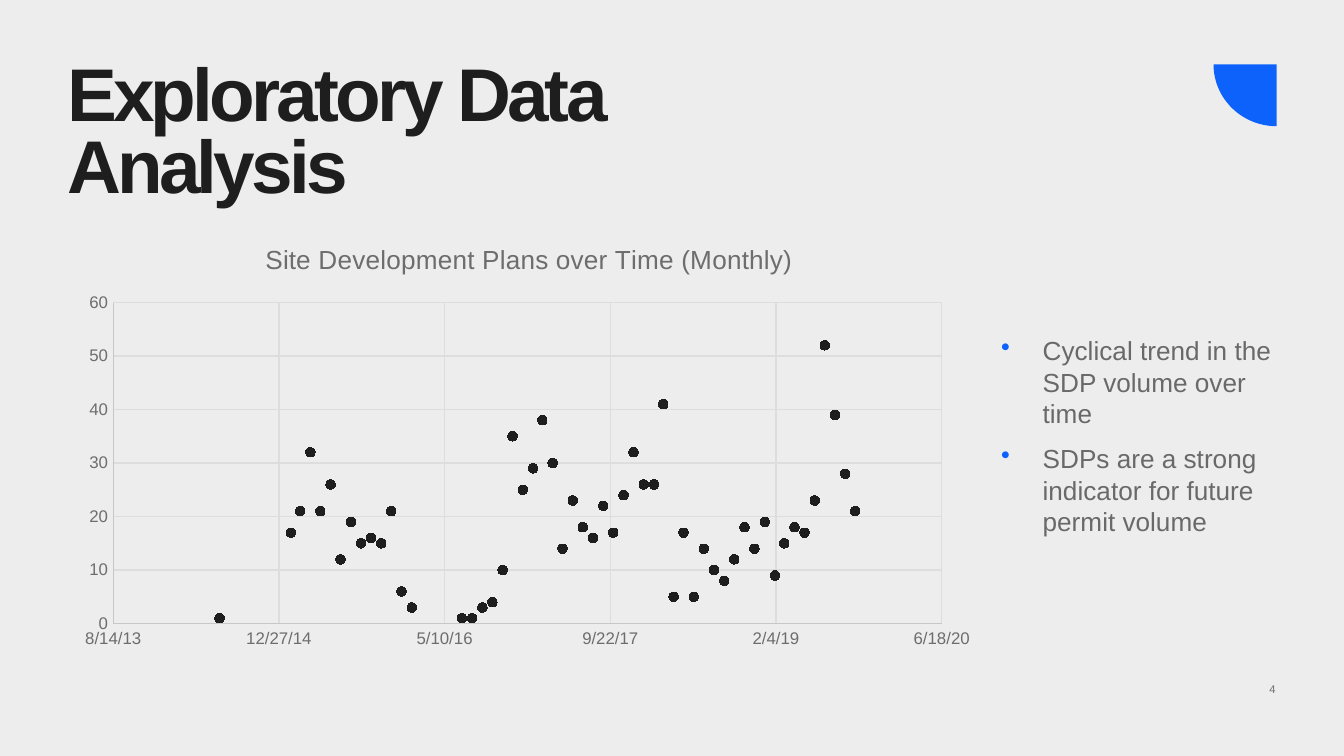
from math import cos, pi, sin
from lxml.etree import SubElement
from pptx import Presentation
from pptx.chart.data import XyChartData
from pptx.dml.color import RGBColor
from pptx.enum.chart import XL_CHART_TYPE, XL_MARKER_STYLE, XL_TICK_MARK
from pptx.enum.text import MSO_ANCHOR, PP_ALIGN
from pptx.oxml import parse_xml
from pptx.oxml.ns import nsdecls, qn
from pptx.util import Inches, Pt

INK, BLUE, GRAY = "1E1E1E", "0C62FB", "696969"


def color(value):
    return RGBColor.from_string(value)


def add_text(box, lines, size, fill, inset=0):
    frame = slide.shapes.add_textbox(*[Inches(length) for length in box]).text_frame
    frame.word_wrap = True
    frame.margin_left = frame.margin_right = Inches(inset)
    frame.margin_top = frame.margin_bottom = Inches(inset / 2)
    frame.text = "\n".join(lines)
    for paragraph in frame.paragraphs:
        paragraph.font.name = "Arial"
        paragraph.font.size = Pt(size)
        paragraph.font.color.rgb = color(fill)
    return frame


presentation = Presentation()
presentation.slide_width = Inches(10)
presentation.slide_height = presentation.slide_width * 9 // 16
slide = presentation.slides.add_slide(presentation.slide_layouts[6])
slide.background.fill.solid()
slide.background.fill.fore_color.rgb = color("EDEDED")

# Slide number
number = add_text((8.9, 4.99, 0.59, 0.19), ["4"], 6, "6E6E6E")
number.vertical_anchor = MSO_ANCHOR.BOTTOM
number.paragraphs[0].alignment = PP_ALIGN.RIGHT
number.paragraphs[0].line_spacing = 1.5

# Quarter disc in the corner, in EMU
right, top, width, height = [Inches(length) for length in (9.5, 0.48, 0.47, 0.46)]
steps = 32
arc = [(right - width * cos(pi / 2 * i / steps), top + height * sin(pi / 2 * i / steps))
       for i in range(steps + 1)]
builder = slide.shapes.build_freeform(right, top)
builder.add_line_segments(arc, close=True)
disc = builder.convert_to_shape()
disc.shadow.inherit = False
disc.fill.solid()
disc.fill.fore_color.rgb = color(BLUE)
disc.line.fill.background()

# Title
title = add_text((0.5, 0.48, 4, 0.97), ["Exploratory Data Analysis"], 40, INK).paragraphs[0]
title.font.bold = True
title.line_spacing = 0.8
title.runs[0].font._element.set("spc", "-200")

# Monthly counts, keyed by the first month of each run (months after March 2014)
monthly_runs = {
    4: [1],
    11: [17, 21, 32, 21, 26, 12, 19, 15, 16, 15, 21, 6, 3],
    28: [1, 1, 3, 4, 10, 35, 25, 29, 38, 30, 14, 23, 18, 16, 22, 17, 24, 32, 26, 26,
         41, 5, 17, 5, 14, 10, 8, 12, 18, 14, 19, 9, 15, 18, 17, 23, 52, 39, 28, 21],
}
chart_data = XyChartData()
plans = chart_data.add_series("Series 1")
for first_month, counts in monthly_runs.items():
    for offset, count in enumerate(counts):
        # Date serial of the first day of the month
        year, month = divmod(first_month + offset, 12)
        day = 41699 + 365 * year + (year + 2) // 4 + (153 * month + 2) // 5
        plans.add_data_point(day, count)

# Scatter chart
chart = slide.shapes.add_chart(XL_CHART_TYPE.XY_SCATTER, Inches(0.5), Inches(1.67),
                               Inches(6.85), Inches(3.23), chart_data).chart
chart.has_legend = False
chart.font.name = "Arial"
chart.font.size = Pt(10)
chart.font.color.rgb = color(INK)
chart.has_title = True
chart.chart_title.text_frame.text = "Site Development Plans over Time (Monthly)"
heading = chart.chart_title.text_frame.paragraphs[0].font
heading.name, heading.size, heading.bold = "Arial", Pt(14), False
heading.color.rgb = color("6D6D6D")

axes = [(chart.category_axis, 41500, 44000, 500, "m/d/yy"),
        (chart.value_axis, 0, 60, 10, "General")]
for axis, low, high, step, number_format in axes:
    axis.minimum_scale, axis.maximum_scale, axis.major_unit = low, high, step
    axis.major_tick_mark = axis.minor_tick_mark = XL_TICK_MARK.NONE
    axis.has_major_gridlines = True
    axis.tick_labels.number_format = number_format
    axis.tick_labels.number_format_is_linked = False
    labels = axis.tick_labels.font
    labels.name, labels.size = "Arial", Pt(9)
    labels.color.rgb = color("6D6D6D")
    for line, shade in [(axis.format.line, "C7C7C7"),
                        (axis.major_gridlines.format.line, "DDDDDD")]:
        line.color.rgb = color(shade)
        line.width = Pt(0.75)

series = chart.plots[0].series[0]
series.format.line.fill.background()
series.marker.style = XL_MARKER_STYLE.CIRCLE
series.marker.size = 5
series.marker.format.fill.solid()
series.marker.format.fill.fore_color.rgb = color(INK)
series.marker.format.line.color.rgb = color(INK)

# Fixed places for the plot area and the chart title, as shares of the chart
layouts = [
    (chart._chartSpace.chart.plotArea, 0,
     {"layoutTarget": "inner", "xMode": "edge", "yMode": "edge",
      "x": 0.05, "y": 0.18, "w": 0.9, "h": 0.74}),
    (chart.chart_title._element, 1,
     {"xMode": "edge", "yMode": "edge", "x": 0.21, "y": 0.03}),
]
for parent, position, settings in layouts:
    for old_layout in parent.findall(qn("c:layout")):
        parent.remove(old_layout)
    layout = parse_xml(f"<c:layout {nsdecls('c')}><c:manualLayout/></c:layout>")
    for name, value in settings.items():
        SubElement(layout[0], qn(f"c:{name}")).set("val", str(value))
    parent.insert(position, layout)

# Findings
findings = add_text((7.35, 2.44, 2.3, 1.91),
                    ["Cyclical trend in the SDP volume over time",
                     "SDPs are a strong indicator for future permit volume"], 14, GRAY, 0.1)
for paragraph in findings.paragraphs:
    paragraph.space_before = Pt(7.5)
    properties = paragraph._p.get_or_add_pPr()
    properties.set("marL", str(Inches(0.31)))
    properties.set("indent", str(-Inches(0.31)))
    bullet_color = parse_xml(f'<a:buClr {nsdecls("a")}><a:srgbClr val="{BLUE}"/></a:buClr>')
    bullet = parse_xml(f'<a:buChar {nsdecls("a")} char="\u2022"/>')
    defaults = properties.find(qn("a:defRPr"))
    defaults.addprevious(bullet_color)
    defaults.addprevious(bullet)

presentation.save("out.pptx")
